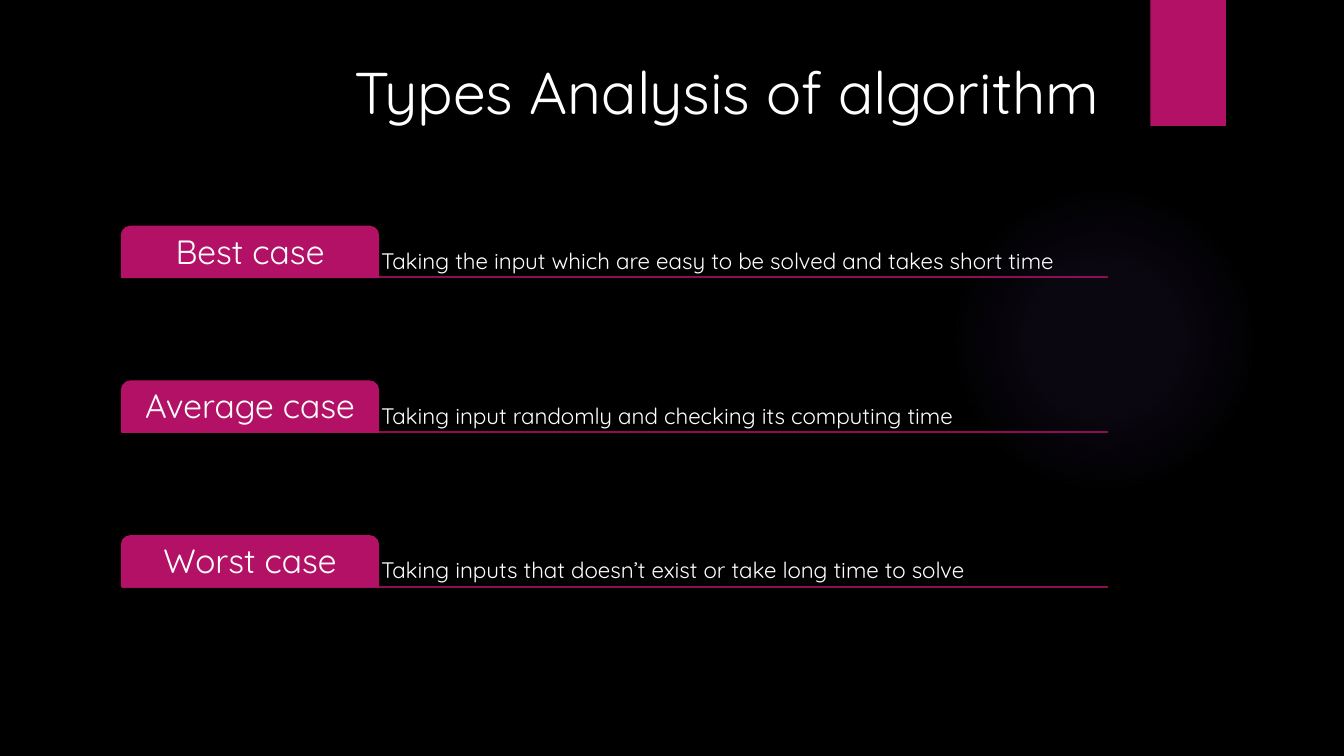
from lxml import etree
from pptx import Presentation
from pptx import util as u
from pptx.dml.color import RGBColor
from pptx.enum import shapes, text
from pptx.oxml import ns

COLORS = {"back": "000000", "pink": "B31166", "rule": "8F0E52",
          "glow": "9B6BF2", "text": "FFFFFF"}
FONT = "Quicksand"
LEFT, TAB_W, TEXT_W = 1.21, 2.54, 7.24
TOP, ROW_H, PITCH = 2.25, 0.5, 1.535
CASES = [
    ("Best case", "Taking the input which are easy to be solved and takes short time"),
    ("Average case", "Taking input randomly and checking its computing time"),
    ("Worst case", "Taking inputs that doesn’t exist or take long time to solve"),
]


def write(sp, words, size, align="LEFT", anchor="MIDDLE", inset=0.05, spacing=0.9):
    tf = sp.text_frame
    tf.word_wrap = True
    tf.auto_size = text.MSO_AUTO_SIZE.NONE
    tf.vertical_anchor = getattr(text.MSO_ANCHOR, anchor)
    tf.margin_left = tf.margin_right = u.Inches(inset)
    tf.margin_top = tf.margin_bottom = u.Inches(min(inset, 0.05))
    p = tf.paragraphs[0]
    p.alignment = getattr(text.PP_ALIGN, align)
    p.line_spacing = spacing
    r = p.add_run()
    r.text = words
    r.font.size = u.Pt(size)
    r.font.name = FONT
    r.font.color.rgb = RGBColor.from_string(COLORS["text"])


def add_block(slide, kind, box, fill):
    sp = slide.shapes.add_shape(kind, *[u.Inches(n) for n in box])
    sp.shadow.inherit = False
    sp.fill.solid()
    sp.fill.fore_color.rgb = RGBColor.from_string(fill)
    sp.line.fill.background()
    return sp


prs = Presentation()
prs.slide_width, prs.slide_height = u.Inches(13.33), u.Inches(7.5)
s = prs.slides.add_slide(prs.slide_layouts[5])
s.background.fill.solid()
s.background.fill.fore_color.rgb = RGBColor.from_string(COLORS["back"])

# Soft glow: a circular gradient that fades out towards the rim
glow = add_block(s, shapes.MSO_SHAPE.OVAL, (9.41, 1.83, 3.08, 3.08), COLORS["glow"])
stops = "".join(
    f'<a:gs pos="{pos * 1000}"><a:srgbClr val="{COLORS["glow"]}">'
    f'<a:alpha val="{alpha * 1000}"/></a:srgbClr></a:gs>'
    for pos, alpha in [(0, 7), (36, 6), (69, 0), (100, 0)])
grad = etree.fromstring(
    f'<a:gradFill {ns.nsdecls("a")} rotWithShape="1"><a:gsLst>{stops}</a:gsLst>'
    '<a:path path="circle"><a:fillToRect l="50000" t="50000" r="50000" b="50000"/>'
    '</a:path></a:gradFill>')
sp_pr = glow.element.spPr
sp_pr.replace(sp_pr.find(ns.qn("a:solidFill")), grad)

# Corner ribbon
add_block(s, shapes.MSO_SHAPE.RECTANGLE, (11.41, 0, 0.75, 1.25), COLORS["pink"])

# Title
title = s.shapes.title
title.left, title.top = u.Inches(0.71), u.Inches(0.5)
title.width, title.height = u.Inches(10.29), u.Inches(1.53)
write(title, "Types Analysis of algorithm", 42, align="RIGHT", anchor="TOP",
      inset=0.1, spacing=1.0)

# One row per case: rule, description and tab
for i, (name, description) in enumerate(CASES):
    top = TOP + i * PITCH
    bottom = u.Inches(top + ROW_H)
    rule = s.shapes.add_connector(shapes.MSO_CONNECTOR.STRAIGHT, u.Inches(LEFT), bottom,
                                  u.Inches(LEFT + TAB_W + TEXT_W), bottom)
    rule.line.color.rgb = RGBColor.from_string(COLORS["rule"])
    rule.line.width = u.Pt(1.5)
    etree.SubElement(rule._element.spPr, ns.qn("a:effectLst"))

    box = s.shapes.add_textbox(u.Inches(LEFT + TAB_W), u.Inches(top),
                               u.Inches(TEXT_W), u.Inches(ROW_H))
    write(box, description, 16, anchor="BOTTOM", inset=0.03)

    tab = add_block(s, shapes.MSO_SHAPE.ROUND_2_SAME_RECTANGLE,
                    (LEFT, top, TAB_W, ROW_H), COLORS["pink"])
    tab.adjustments[0], tab.adjustments[1] = 0.167, 0
    tab.line.color.rgb = RGBColor.from_string(COLORS["pink"])
    tab.line.width = u.Pt(1.5)
    write(tab, name, 24, align="CENTER")

prs.save("out.pptx")
